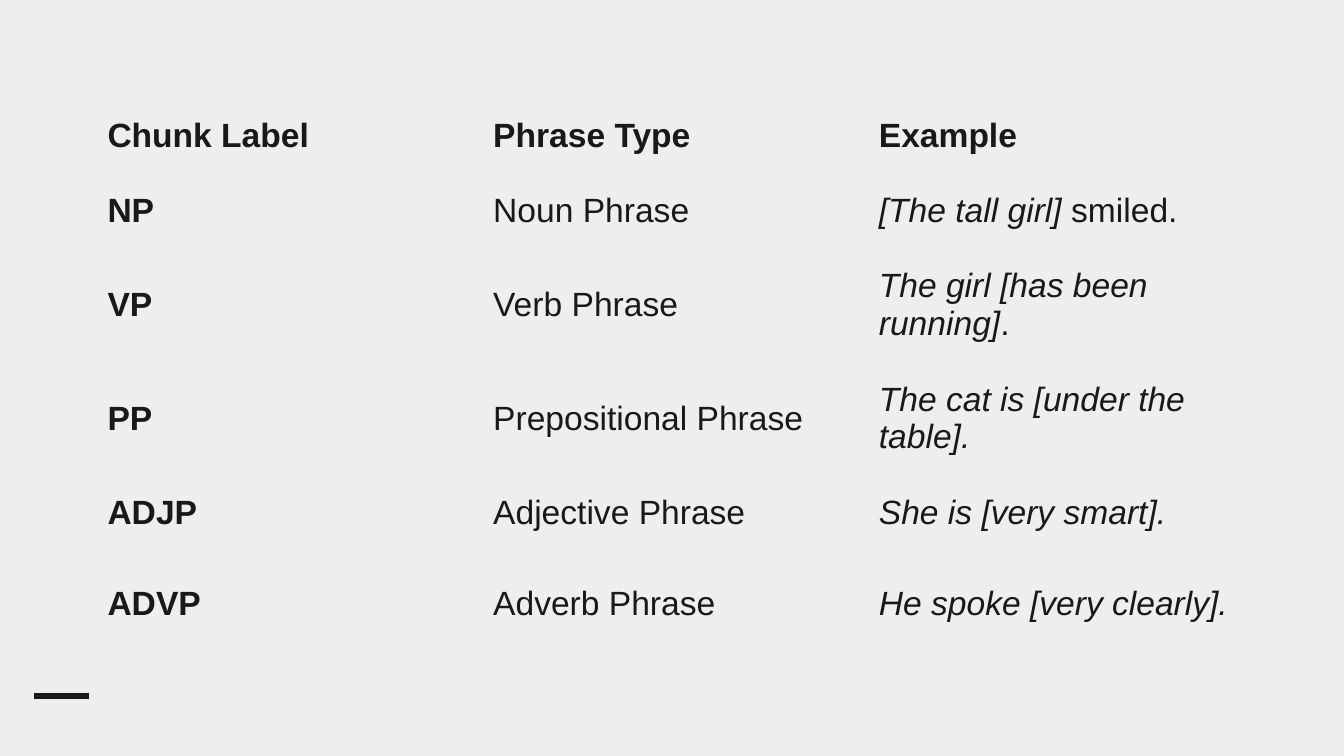
from pptx import Presentation
from pptx import util as u
from pptx.dml.color import RGBColor
from pptx.enum import shapes, text
from pptx.oxml.ns import qn
from lxml import etree

INK = RGBColor(0x19, 0x19, 0x19)
PAPER = RGBColor(0xEE, 0xEE, 0xEE)
PLAIN_STYLE = "{2D5ABB26-0587-4C30-8999-92F81FD0307C}"  # no fill, no grid

HEADER = ("Chunk Label", "Phrase Type", "Example")
# Label, phrase type, italic part of the example, upright ending
PHRASES = [
    ("NP", "Noun Phrase", "[The tall girl]", " smiled."),
    ("VP", "Verb Phrase", "The girl [has been running]", "."),
    ("PP", "Prepositional Phrase", "The cat is [under the table].", ""),
    ("ADJP", "Adjective Phrase", "She is [very smart].", ""),
    ("ADVP", "Adverb Phrase", "He spoke [very clearly].", ""),
]
ROW_WEIGHTS = (0.56, 0.56, 0.85, 0.85, 0.56, 0.8)


def add_span(para, words, bold=False, italic=False):
    span = para.add_run()
    span.text = words
    formats = {"name": "Arial", "size": u.Pt(18), "bold": bold, "italic": italic}
    for key, value in formats.items():
        setattr(span.font, key, value)
    span.font.color.rgb = INK


def fill_cell(cell, spans):
    cell.fill.background()
    cell.vertical_anchor = text.MSO_ANCHOR.MIDDLE
    for words, formats in spans:
        add_span(cell.text_frame.paragraphs[0], words, **formats)


def add_phrase_table(page, left, top, width, height):
    """Place the chunk table: equal columns, rows sharing the height by weight."""
    rows = [[[(name, {"bold": True})] for name in HEADER]]
    for label, kind, example, ending in PHRASES:
        spans = [(example, {"italic": True})]
        if ending:
            spans.append((ending, {}))
        rows.append([[(label, {"bold": True})], [(kind, {})], spans])

    frame = page.shapes.add_table(len(rows), len(HEADER), u.Inches(left), u.Inches(top),
                                  u.Inches(width), u.Inches(height))
    table = frame.table
    table.first_row = table.horz_banding = False
    table._tbl.tblPr.find(qn("a:tableStyleId")).text = PLAIN_STYLE

    for column in table.columns:
        column.width = u.Inches(width / len(HEADER))
    for row, weight, contents in zip(table.rows, ROW_WEIGHTS, rows):
        row.height = u.Inches(height * weight / sum(ROW_WEIGHTS))
        for cell, spans in zip(row.cells, contents):
            fill_cell(cell, spans)


def add_corner_dash(page, left, top, width):
    """Place the short rule at the lower left."""
    dash = page.shapes.add_connector(shapes.MSO_CONNECTOR.STRAIGHT, u.Inches(left + width),
                                     u.Inches(top), u.Inches(left), u.Inches(top))
    dash.line.color.rgb = INK
    dash.line.width = u.Pt(3)
    etree.SubElement(dash._element.spPr, qn("a:effectLst"))


def main():
    deck = Presentation()
    # Widescreen, 16 to 9
    deck.slide_width = u.Inches(10)
    deck.slide_height = u.Inches(10 * 9 / 16)
    page = deck.slides.add_slide(deck.slide_layouts[6])
    page.background.fill.solid()
    page.background.fill.fore_color.rgb = PAPER

    add_corner_dash(page, 0.25, 5.18, 0.41)
    add_phrase_table(page, 0.7, 0.73, 8.61, 4.16)
    deck.save("out.pptx")


if __name__ == "__main__":
    main()
